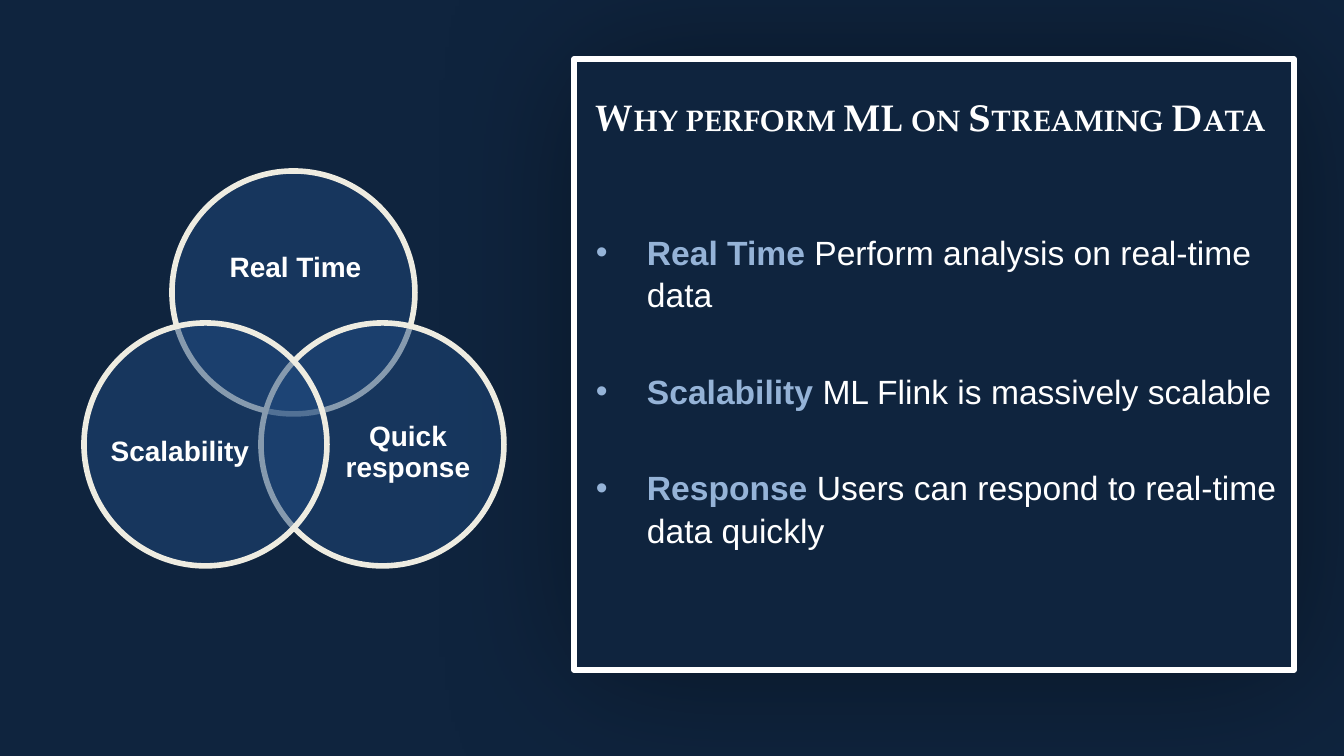
from dataclasses import dataclass

from lxml.etree import SubElement
from pptx import Presentation
from pptx.dml.color import RGBColor
from pptx.enum.shapes import MSO_SHAPE as Preset
from pptx.enum.text import MSO_ANCHOR as Anchor, PP_ALIGN as Align
from pptx.oxml.ns import qn
from pptx.util import Pt

EMU_PER_PX = 9144000 / 1344
COLORS = {
    "navy": "0F243E",
    "white": "FFFFFF",
    "circle": "1F497D",
    "ring": "EEECE1",
    "term": "95B3D7",
    "shadow": "000000",
}
BODY_FONT = "Arial"
TITLE_FONT = "TeX Gyre Pagella"
CIRCLE_SIZE = 243
BULLET_INDENT = 51


@dataclass(frozen=True)
class Box:
    left: int
    top: int
    width: int
    height: int


@dataclass(frozen=True)
class VennCircle:
    left: int
    top: int
    label: str
    label_box: Box


@dataclass(frozen=True)
class Reason:
    term: str
    detail: str


PANEL = Box(574, 59, 720, 611)
TITLE_BOX = Box(583, 91, 710, 93)
REASONS_BOX = Box(583, 176, 710, 478)

CIRCLES = [
    VennCircle(172, 171, "Real Time", Box(206, 214, 179, 109)),
    VennCircle(261, 323, "Quick response", Box(335, 386, 146, 134)),
    VennCircle(84, 323, "Scalability", Box(107, 386, 146, 134)),
]
REASONS = [
    Reason("Real Time", " Perform analysis on real-time data"),
    Reason("Scalability ", "ML Flink is massively scalable"),
    Reason("Response ", "Users can respond to real-time data quickly"),
]


def px(length: int) -> int:
    return round(length * EMU_PER_PX)


def place(box: Box) -> tuple[int, ...]:
    return tuple(px(n) for n in (box.left, box.top, box.width, box.height))


def color(name: str) -> RGBColor:
    return RGBColor.from_string(COLORS[name])


def style_font(font, name: str, size: int, color_name: str, bold: bool) -> None:
    font.name = name
    font.size = Pt(size)
    font.bold = bold
    font.color.rgb = color(color_name)


def add_outlined(shapes, preset: Preset, box: Box, fill: str, line: str):
    shape = shapes.add_shape(preset, *place(box))
    shape.shadow.inherit = False
    shape.fill.solid()
    shape.fill.fore_color.rgb = color(fill)
    shape.line.color.rgb = color(line)
    shape.line.width = Pt(3)
    return shape


def add_text_frame(shapes, box: Box, anchor: Anchor, side: int, top: int):
    """Add a wrapping text box with the given side and top insets in px."""
    frame = shapes.add_textbox(*place(box)).text_frame
    frame.word_wrap = True
    frame.vertical_anchor = anchor
    frame.margin_left = frame.margin_right = px(side)
    frame.margin_top = px(top)
    frame.margin_bottom = 0
    return frame


def set_alpha(parent, percent: int) -> None:
    SubElement(parent, qn("a:alpha"), val=str(percent * 1000))


def add_panel(shapes) -> None:
    panel = add_outlined(shapes, Preset.RECTANGLE, PANEL, "navy", "white")
    effects = panel._element.spPr.find(qn("a:effectLst"))
    shadow = SubElement(effects, qn("a:outerShdw"), blurRad=str(Pt(81)),
                        dist=str(Pt(3)), dir="2700000", algn="tl", rotWithShape="0")
    set_alpha(SubElement(shadow, qn("a:srgbClr"), val=COLORS["shadow"]), 40)


def add_title(shapes) -> None:
    frame = add_text_frame(shapes, TITLE_BOX, Anchor.TOP, side=13, top=3)
    frame.text = "Why perform ML on Streaming Data"
    font = frame.paragraphs[0].runs[0].font
    style_font(font, TITLE_FONT, 20, "white", True)
    font._element.set("cap", "small")


def add_bullet(paragraph) -> None:
    properties = paragraph._p.get_or_add_pPr()
    properties.set("marL", str(px(BULLET_INDENT)))
    properties.set("indent", str(-px(BULLET_INDENT)))
    bullet_color = SubElement(properties, qn("a:buClr"))
    SubElement(bullet_color, qn("a:srgbClr"), val=COLORS["term"])
    SubElement(properties, qn("a:buFont"), typeface=BODY_FONT)
    SubElement(properties, qn("a:buChar"), char="•")


def add_reasons(shapes) -> None:
    frame = add_text_frame(shapes, REASONS_BOX, Anchor.TOP, side=13, top=54)
    for index, reason in enumerate(REASONS):
        paragraph = frame.add_paragraph() if index else frame.paragraphs[0]
        add_bullet(paragraph)
        paragraph.line_spacing = 1.05
        if index:
            paragraph.space_before = Pt(29)
        for text, color_name, bold in ((reason.term, "term", True),
                                       (reason.detail, "white", False)):
            run = paragraph.add_run()
            run.text = text
            style_font(run.font, BODY_FONT, 18, color_name, bold)


def add_venn_circle(shapes, circle: VennCircle) -> None:
    box = Box(circle.left, circle.top, CIRCLE_SIZE, CIRCLE_SIZE)
    shape = add_outlined(shapes, Preset.OVAL, box, "circle", "ring")
    set_alpha(shape._element.spPr.find(qn("a:solidFill"))[0], 50)
    frame = add_text_frame(shapes, circle.label_box, Anchor.MIDDLE, side=0, top=0)
    frame.text = circle.label
    paragraph = frame.paragraphs[0]
    paragraph.alignment = Align.CENTER
    paragraph.line_spacing = 0.9
    style_font(paragraph.runs[0].font, BODY_FONT, 15, "white", True)


def main() -> None:
    presentation = Presentation()
    presentation.slide_width = px(1344)
    presentation.slide_height = px(756)
    slide = presentation.slides.add_slide(presentation.slide_layouts[6])
    slide.background.fill.solid()
    slide.background.fill.fore_color.rgb = color("navy")

    add_panel(slide.shapes)
    add_title(slide.shapes)
    add_reasons(slide.shapes)
    venn = slide.shapes.add_group_shape()
    for circle in CIRCLES:
        add_venn_circle(venn.shapes, circle)
    presentation.save("out.pptx")


if __name__ == "__main__":
    main()
